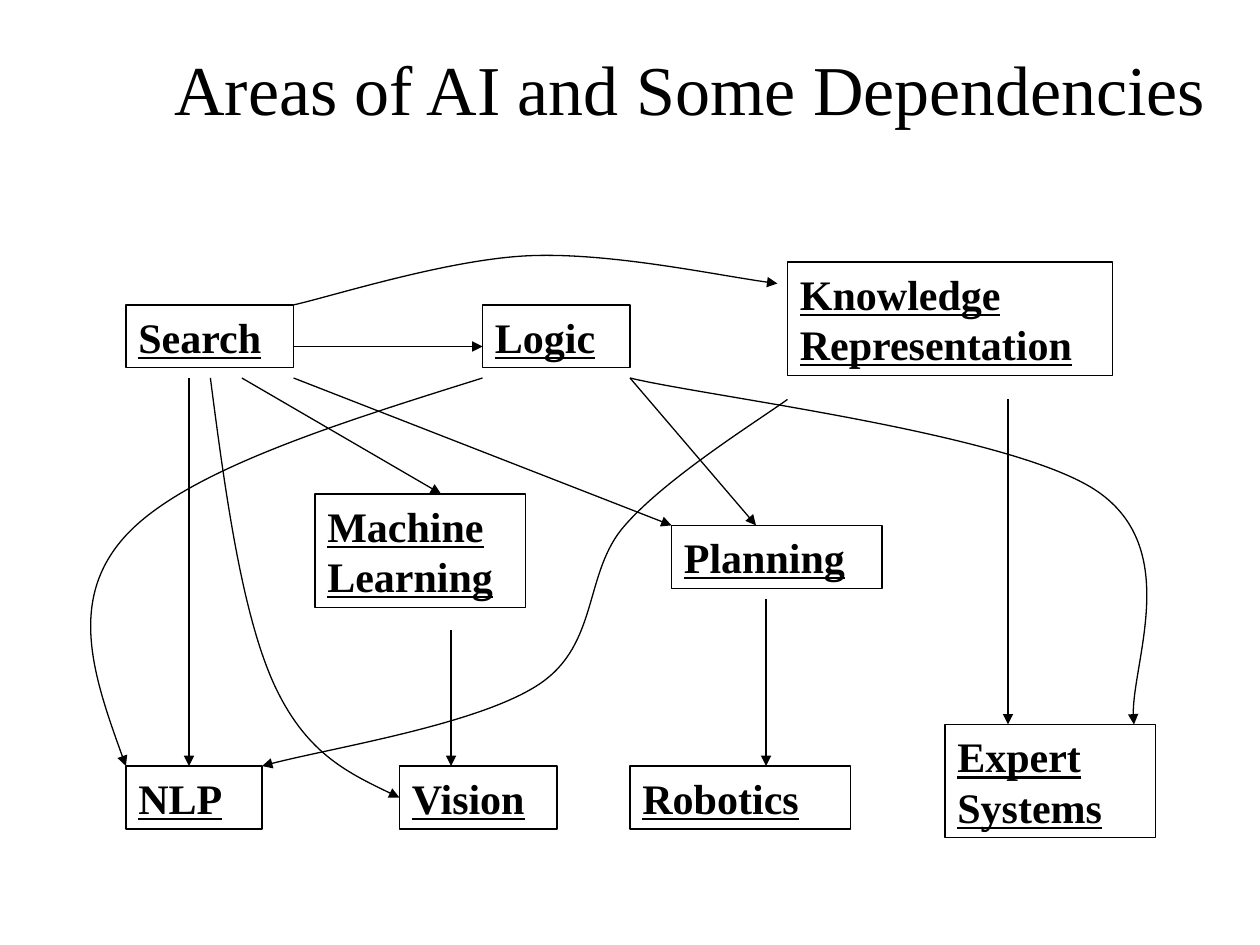
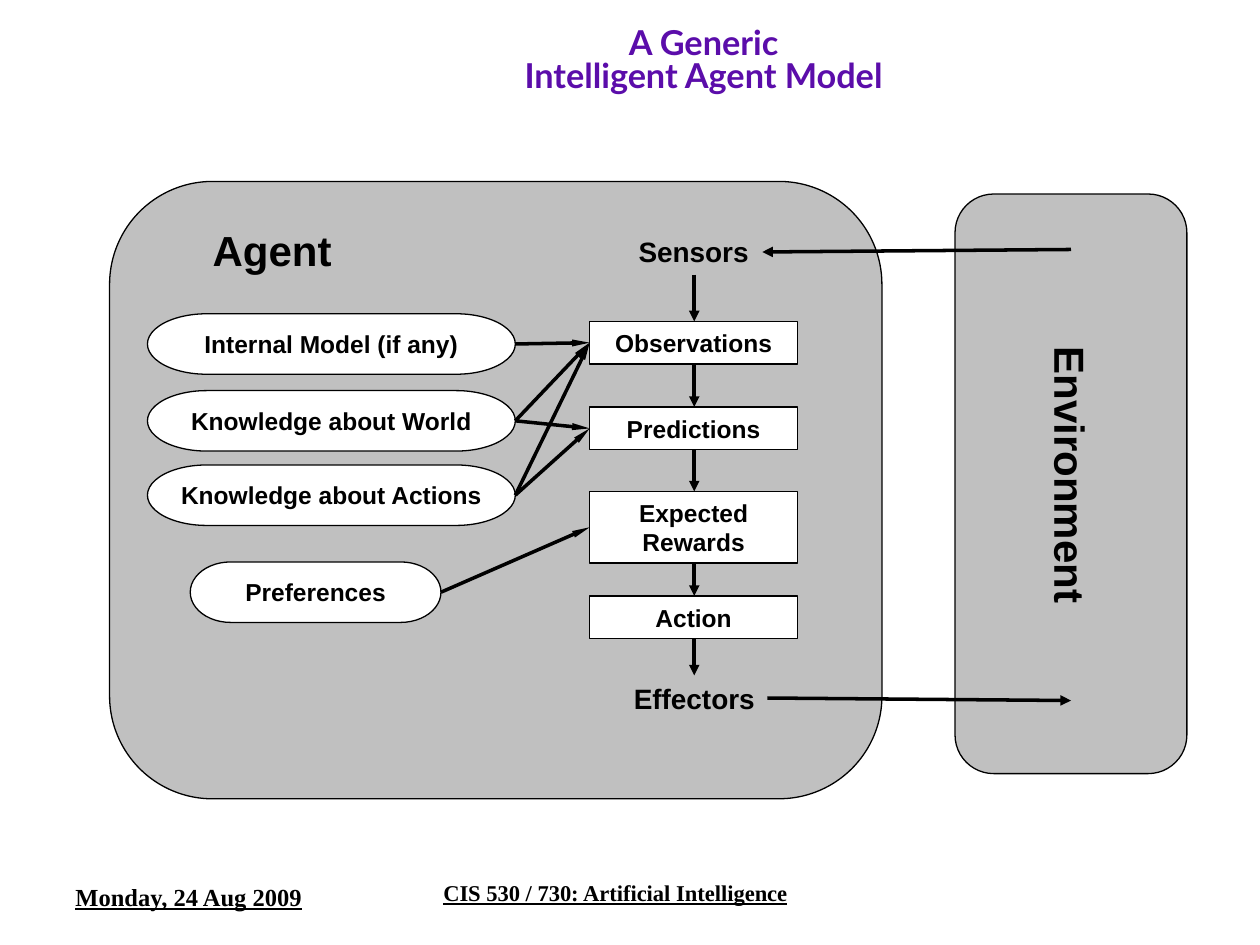
"""Build two slides: the areas of AI with their dependencies, and a generic agent model."""
from dataclasses import dataclass, replace
from itertools import pairwise
from typing import Optional

from lxml.etree import SubElement
from pptx import Presentation
from pptx.dml.color import RGBColor
from pptx.enum.shapes import MSO_CONNECTOR, MSO_SHAPE
from pptx.enum.text import MSO_ANCHOR, MSO_AUTO_SIZE, PP_ALIGN
from pptx.oxml.ns import qn
from pptx.util import Inches, Pt

COLORS = {"ink": "000000", "title": "5B0DAA", "panel": "C0C0C0", "node": "FFFFFF"}
Point = tuple[float, float]


@dataclass(frozen=True)
class Style:
    size: float
    font: str = "Arial"
    color: str = "ink"
    bold: bool = True
    underline: bool = False
    align: PP_ALIGN = PP_ALIGN.CENTER
    anchor: MSO_ANCHOR = MSO_ANCHOR.TOP
    spacing: float = 1.0
    wrap: bool = True


@dataclass(frozen=True)
class Box:
    text: str
    left: float
    top: float
    width: float
    height: float
    style: Optional[Style] = None
    shape: Optional[MSO_SHAPE] = None
    fill: Optional[str] = None
    rotation: float = 0

    @property
    def bottom(self) -> float:
        return self.top + self.height

    @property
    def left_middle(self) -> Point:
        return self.left, self.top + self.height / 2

    @property
    def right_middle(self) -> Point:
        return self.left + self.width, self.top + self.height / 2


@dataclass(frozen=True)
class Arrow:
    points: tuple[Point, ...]
    weight: float = 0.75
    head_width: str = "med"
    head_length: str = "med"


MIDDLE = MSO_ANCHOR.MIDDLE
AREA = Style(24, "Times New Roman", underline=True, align=PP_ALIGN.LEFT)
AREAS_TITLE = Style(40, "Times New Roman", bold=False, anchor=MIDDLE)
AGENT_TITLE = Style(19.6, "Lato", "title", anchor=MIDDLE, spacing=0.8)
DATE = replace(AREA, size=14)
COURSE = replace(AREA, size=12.9, spacing=0.9)
HEADING = Style(24, wrap=False)
PORT = Style(16, wrap=False)
NODE = Style(14, anchor=MIDDLE)

AREA_BOXES = [
    ("Search", 1, 2.42, 1.33, 0.5),
    ("Vision", 3.17, 6.08, 1.25, 0.5),
    ("Planning", 5.33, 4.17, 1.67, 0.5),
    ("Machine Learning", 2.5, 3.92, 1.67, 0.9),
    ("Knowledge Representation", 6.25, 2.08, 2.58, 0.9),
    ("Logic", 3.83, 2.42, 1.17, 0.5),
    ("Expert Systems", 7.5, 5.75, 1.67, 0.9),
    ("Robotics", 5, 6.08, 1.75, 0.5),
    ("NLP", 1, 6.08, 1.08, 0.5),
]
DEPENDENCIES = [
    ((1.5, 3), (1.5, 6.08)),
    ((2.33, 2.75), (3.83, 2.75)),
    ((2.33, 3), (5.33, 4.17)),
    ((1.92, 3), (3.5, 3.92)),
    ((5, 3), (6, 4.17)),
    ((8, 3.17), (8, 5.75)),
    ((3.58, 5), (3.58, 6.08)),
    ((6.08, 4.75), (6.08, 6.08)),
    ((2.33, 2.42), (2.64, 2.35), (3.55, 2.06), (4.19, 2.03),
     (4.83, 2), (5.76, 2.2), (6.17, 2.25)),
    ((1.67, 3), (1.79, 3.93), (1.92, 4.86), (2.17, 5.42),
     (2.42, 5.97), (2.79, 6.15), (3.17, 6.33)),
    ((3.83, 3), (2.65, 3.37), (1.47, 3.74), (1, 4.25),
     (0.53, 4.76), (0.76, 5.42), (1, 6.08)),
    ((5, 3), (5.62, 3.15), (8.04, 3.44), (8.71, 3.9),
     (9.38, 4.36), (8.94, 5.36), (9, 5.75)),
    ((6.25, 3.17), (6.03, 3.33), (5.29, 3.79), (4.96, 4.17), (4.63, 4.54),
     (4.76, 5.11), (4.28, 5.43), (3.8, 5.75), (2.54, 5.95), (2.08, 6.08)),
]

STEP_X, STEP_LEFT, STEP_WIDTH = 5.51, 4.68, 1.65
SENSORS = Box("Sensors", 4.96, 1.81, 1.09, 0.37, PORT)
EFFECTORS = Box("Effectors", 4.92, 5.36, 1.18, 0.37, PORT)
STEPS = [
    Box(text, STEP_LEFT, top, STEP_WIDTH, height, NODE, MSO_SHAPE.RECTANGLE, "node")
    for text, top, height in [
        ("Observations", 2.55, 0.34),
        ("Predictions", 3.23, 0.34),
        ("Expected Rewards", 3.9, 0.57),
        ("Action", 4.73, 0.34),
    ]
]
SOURCES = [
    Box(text, left, top, width, 0.48, NODE, MSO_SHAPE.FLOWCHART_TERMINATOR, "node")
    for text, left, top, width in [
        ("Internal Model (if any)", 1.17, 2.49, 2.92),
        ("Knowledge about World", 1.17, 3.1, 2.92),
        ("Knowledge about Actions", 1.17, 3.69, 2.92),
        ("Preferences", 1.51, 4.46, 1.99),
    ]
]
SOURCE_STEP_LINKS = [(0, 0), (1, 0), (1, 1), (2, 0), (2, 1), (3, 2)]
PANELS = [
    Box("", *rect, shape=MSO_SHAPE.FLOWCHART_ALTERNATE_PROCESS, fill="panel")
    for rect in [(0.87, 1.44, 6.13, 4.9), (7.58, 1.54, 1.84, 4.6)]
]
AGENT_LABELS = [
    Box("Monday, 24 Aug 2009", 0.5, 6.95, 2.33, 0.4, DATE),
    Box("CIS 530 / 730: Artificial Intelligence", 3.42, 6.95, 3.17, 0.4, COURSE),
    Box("A Generic\nIntelligent Agent Model", 1.25, 0.08, 8.67, 0.83, AGENT_TITLE),
]
PANEL_LABELS = [
    Box("Agent", 1.58, 1.73, 1.16, 0.5, HEADING),
    Box("Environment", 6.71, 3.52, 3.58, 0.5, replace(HEADING, wrap=True), rotation=90),
]


def rgb(name: str) -> RGBColor:
    return RGBColor.from_string(COLORS[name])


def write_text(tf, text: str, style: Style) -> None:
    tf.word_wrap = style.wrap
    if not style.wrap:
        tf.auto_size = MSO_AUTO_SIZE.SHAPE_TO_FIT_TEXT
    tf.vertical_anchor = style.anchor
    p = tf.paragraphs[0]
    p.text = text
    p.alignment = style.align
    p.line_spacing = style.spacing
    p.font.name = style.font
    p.font.size = Pt(style.size)
    p.font.bold = style.bold
    p.font.underline = style.underline
    p.font.color.rgb = rgb(style.color)


def draw_box(s, box: Box) -> None:
    rect = [Inches(v) for v in (box.left, box.top, box.width, box.height)]
    if box.shape is None:
        sp = s.shapes.add_textbox(*rect)
    else:
        sp = s.shapes.add_shape(box.shape, *rect)
        sp.shadow.inherit = False
        sp.line.color.rgb = rgb("ink")
        sp.line.width = Pt(0.75)
        if box.fill:
            sp.fill.solid()
            sp.fill.fore_color.rgb = rgb(box.fill)
        else:
            sp.fill.background()
    sp.rotation = box.rotation
    if box.style:
        write_text(sp.text_frame, box.text, box.style)


def add_curve(s, points: list):
    builder = s.shapes.build_freeform(*points[0], scale=1.0)
    builder.add_line_segments(points[1:], close=False)
    sp = builder.convert_to_shape()
    sp.fill.background()
    segments = sp._element.findall(".//" + qn("a:lnTo"))
    for i in range(0, len(segments), 3):
        curve, *rest = segments[i:i + 3]
        curve.tag = qn("a:cubicBezTo")
        for segment in rest:
            curve.append(segment[0])
            segment.getparent().remove(segment)
    return sp


def draw_arrow(s, arrow: Arrow) -> None:
    points = [(Inches(x), Inches(y)) for x, y in arrow.points]
    if len(points) == 2:
        sp = s.shapes.add_connector(MSO_CONNECTOR.STRAIGHT, *points[0], *points[1])
    else:
        sp = add_curve(s, points)
    sp.line.color.rgb = rgb("ink")
    sp.line.width = Pt(arrow.weight)
    sppr = sp._element.spPr
    SubElement(sppr.find(qn("a:ln")), qn("a:tailEnd"), type="triangle",
               w=arrow.head_width, len=arrow.head_length)
    SubElement(sppr, qn("a:effectLst"))


def draw_slide(prs, boxes: list[Box], arrows: list[Arrow]) -> None:
    s = prs.slides.add_slide(prs.slide_layouts[6])
    for box in boxes:
        draw_box(s, box)
    for arrow in arrows:
        draw_arrow(s, arrow)


def agent_arrows() -> list[Arrow]:
    flow = [((STEP_X, a.bottom), (STEP_X, b.top))
            for a, b in pairwise([SENSORS, *STEPS, EFFECTORS])]
    outside = [((8.5, 1.98), (6.05, 2)), ((6.09, 5.54), (8.5, 5.56))]
    links = [(SOURCES[i].right_middle, STEPS[j].left_middle) for i, j in SOURCE_STEP_LINKS]
    return [Arrow(points, 2) for points in flow + outside] + [
        Arrow(points, 2, "sm", "lg") for points in links]


def main() -> None:
    prs = Presentation()
    prs.slide_width, prs.slide_height = Inches(10), Inches(7.5)
    title = Box("Areas of AI and Some Dependencies", 1.17, 0.23, 8.61, 0.93, AREAS_TITLE)
    areas = [Box(*area, AREA, MSO_SHAPE.RECTANGLE) for area in AREA_BOXES]
    draw_slide(prs, [title, *areas], [Arrow(points) for points in DEPENDENCIES])
    draw_slide(prs, [*AGENT_LABELS, *PANELS, *PANEL_LABELS, SENSORS, EFFECTORS,
                     *SOURCES, *STEPS], agent_arrows())
    prs.save("out.pptx")


if __name__ == "__main__":
    main()
